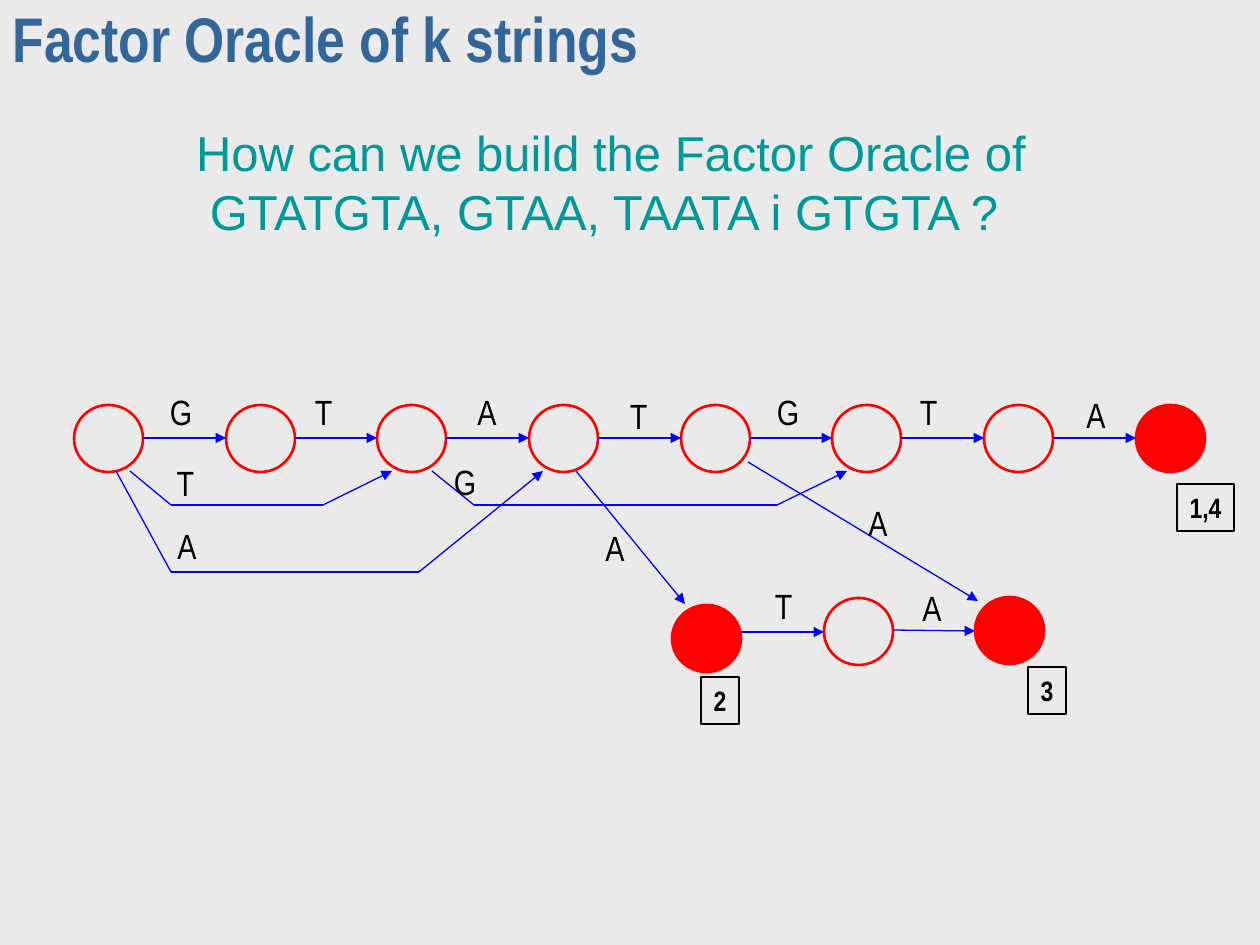
"""Builds the slide showing a factor oracle automaton of four strings."""
import dataclasses
import itertools

import lxml.etree
import pptx
import pptx.dml.color
import pptx.enum.shapes
import pptx.enum.text
import pptx.oxml.ns
import pptx.util

ALIGN = pptx.enum.text.PP_ALIGN
ANCHOR = pptx.enum.text.MSO_ANCHOR
AUTO_SIZE = pptx.enum.text.MSO_AUTO_SIZE
SHAPE = pptx.enum.shapes.MSO_SHAPE


@dataclasses.dataclass(frozen=True)
class Theme:
    background: str = "EAEAEA"
    title: str = "336699"
    question: str = "009999"
    text: str = "010000"
    state: str = "FF0000"
    edge: str = "0000FF"
    wide_font: str = "Arial"
    narrow_font: str = "Arial Narrow"
    title_size: int = 36
    question_size: int = 28
    label_size: int = 20
    tag_size: int = 16
    state_width: float = 1.5
    thin_width: float = 0.75


THEME = Theme()
PX_PER_INCH = 126
STATE_WIDTH, STATE_HEIGHT = 69, 67
ROW_LEFT, ROW_TOP, ROW_PITCH, ROW_COUNT = 74, 405, 151.7, 8
ROW_MIDDLE = 438
LABEL_WIDTHS = {"G": 48, "T": 43, "A": 44}
LABEL_HEIGHT = 55

LABELS = [
    ("G", 157, 384), ("T", 302, 384), ("A", 465, 384), ("T", 617, 388),
    ("G", 764, 384), ("T", 907, 384), ("A", 1074, 387),
    ("T", 164, 455), ("A", 165, 518), ("G", 441, 454),
    ("A", 593, 520), ("A", 856, 495), ("T", 762, 578), ("A", 910, 580),
]
BRANCH_STATES = [(672, 605, True), (824, 598, False), (975, 597, True)]
JUMPS = [
    [(130, 471), (171, 505), (323, 505), (392, 471)],
    [(116, 471), (171, 572), (419, 572), (543, 471)],
    [(432, 471), (474, 505), (777, 505), (847, 471)],
    [(576, 471), (685, 604)],
    [(748, 462), (978, 601)],
    [(741, 632), (824, 632)],
    [(893, 630), (975, 631)],
]
TAGS = [("1,4", 1177, 484, 57), ("3", 1028, 667, 38), ("2", 701, 677, 38)]
TAG_HEIGHT = 47


def px(*lengths):
    return [pptx.util.Emu(round(length * 914400 / PX_PER_INCH)) for length in lengths]


def rgb(color):
    return pptx.dml.color.RGBColor.from_string(color)


def set_attributes(target, values):
    for name, value in values.items():
        setattr(target, name, value)


def write_text(shape, lines, font, color, frame, paragraph_format):
    set_attributes(shape.text_frame, frame)
    shape.text_frame.text = "\n".join(lines)
    for paragraph in shape.text_frame.paragraphs:
        set_attributes(paragraph, paragraph_format)
        for run in paragraph.runs:
            set_attributes(run.font, font)
            run.font.color.rgb = rgb(color)


def set_line(shape, color, width):
    shape.line.color.rgb = rgb(color)
    shape.line.width = pptx.util.Pt(width)


def add_title(slide, text):
    title = slide.shapes.title
    set_attributes(title, dict(zip(("left", "top", "width", "height"), px(0, 0, 1260, 94))))
    font = {"name": THEME.narrow_font, "size": pptx.util.Pt(THEME.title_size), "bold": True}
    frame = {"vertical_anchor": ANCHOR.MIDDLE, "word_wrap": True, "auto_size": AUTO_SIZE.NONE}
    write_text(title, [text], font, THEME.title, frame,
               {"alignment": ALIGN.LEFT, "line_spacing": 0.7})


def add_question(slide, lines):
    box = slide.shapes.add_textbox(*px(32, 116, 1144, 131))
    font = {"name": THEME.wide_font, "size": pptx.util.Pt(THEME.question_size)}
    frame = {"word_wrap": True, "auto_size": AUTO_SIZE.SHAPE_TO_FIT_TEXT}
    write_text(box, lines, font, THEME.question, frame, {"alignment": ALIGN.CENTER})


def add_plain_shape(slide, kind, bounds, fill, line, width):
    shape = slide.shapes.add_shape(kind, *px(*bounds))
    shape.shadow.inherit = False
    if fill:
        shape.fill.solid()
        shape.fill.fore_color.rgb = rgb(fill)
    else:
        shape.fill.background()
    set_line(shape, line, width)
    return shape


def add_state(slide, left, top, final):
    add_plain_shape(slide, SHAPE.OVAL, (left, top, STATE_WIDTH, STATE_HEIGHT),
                    THEME.state if final else None, THEME.state, THEME.state_width)


def add_edge(slide, points):
    segments = list(itertools.pairwise(points))
    for index, (start, end) in enumerate(segments, 1):
        connector = slide.shapes.add_connector(
            pptx.enum.shapes.MSO_CONNECTOR.STRAIGHT, *px(*start, *end))
        set_line(connector, THEME.edge, THEME.thin_width)
        properties = connector.element.spPr
        if index == len(segments):
            line = properties.find(pptx.oxml.ns.qn("a:ln"))
            lxml.etree.SubElement(line, pptx.oxml.ns.qn("a:tailEnd"), type="triangle")
        lxml.etree.SubElement(properties, pptx.oxml.ns.qn("a:effectLst"))


def add_label(slide, letter, left, top):
    box = slide.shapes.add_textbox(*px(left, top, LABEL_WIDTHS[letter], LABEL_HEIGHT))
    font = {"name": THEME.narrow_font, "size": pptx.util.Pt(THEME.label_size)}
    frame = {"vertical_anchor": ANCHOR.MIDDLE, "word_wrap": False,
             "auto_size": AUTO_SIZE.SHAPE_TO_FIT_TEXT}
    write_text(box, [letter], font, THEME.text, frame, {"alignment": ALIGN.CENTER})


def add_tag(slide, text, left, top, width):
    tag = add_plain_shape(slide, SHAPE.RECTANGLE, (left, top, width, TAG_HEIGHT),
                          None, THEME.text, THEME.thin_width)
    font = {"name": THEME.narrow_font, "size": pptx.util.Pt(THEME.tag_size), "bold": True}
    frame = {"vertical_anchor": ANCHOR.TOP, "word_wrap": False,
             "auto_size": AUTO_SIZE.SHAPE_TO_FIT_TEXT}
    write_text(tag, [text], font, THEME.text, frame, {"alignment": ALIGN.CENTER})


def add_main_row(slide):
    lefts = [round(ROW_LEFT + ROW_PITCH * index) for index in range(ROW_COUNT)]
    for left in lefts:
        add_state(slide, left, ROW_TOP, left == lefts[-1])
    for left, following in itertools.pairwise(lefts):
        add_edge(slide, [(left + STATE_WIDTH, ROW_MIDDLE), (following, ROW_MIDDLE)])


def main():
    presentation = pptx.Presentation()
    presentation.slide_width, presentation.slide_height = px(1260, 945)
    slide = presentation.slides.add_slide(presentation.slide_layouts.get_by_name("Title Only"))
    slide.background.fill.solid()
    slide.background.fill.fore_color.rgb = rgb(THEME.background)
    add_title(slide, "Factor Oracle of k strings")
    add_question(slide, [" How can we build the Factor Oracle of",
                         "GTATGTA, GTAA, TAATA i GTGTA ?"])
    add_main_row(slide)
    for state in BRANCH_STATES:
        add_state(slide, *state)
    for points in JUMPS:
        add_edge(slide, points)
    for label in LABELS:
        add_label(slide, *label)
    for tag in TAGS:
        add_tag(slide, *tag)
    presentation.save("out.pptx")


if __name__ == "__main__":
    main()
